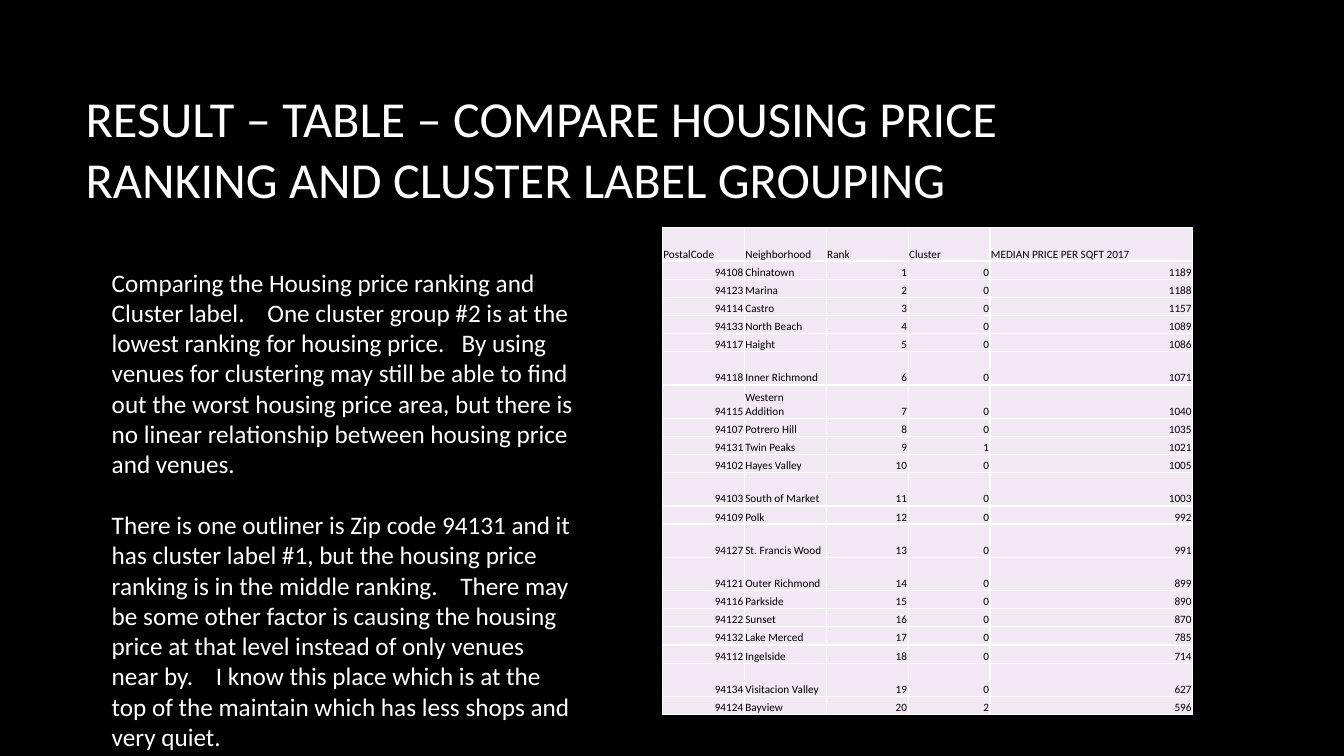
import pptx
import pptx.util
import pptx.dml.color
import pptx.enum.text
import pptx.oxml.ns
from lxml import etree

Inches = pptx.util.Inches
Pt = pptx.util.Pt
ANCHOR = pptx.enum.text.MSO_ANCHOR
ALIGN = pptx.enum.text.PP_ALIGN

COLORS = {"background": "000000", "light": "FFFFFF", "ink": "000000", "cell": "F1E8F4"}
FONT = "Calibri"

TITLE = "RESULT – TABLE – COMPARE HOUSING PRICE RANKING AND CLUSTER LABEL GROUPING"
COMMENTS = [
    "Comparing the Housing price ranking and Cluster label.    One cluster group #2 is at the "
    "lowest ranking for housing price.   By using venues for clustering may still be able to "
    "find out the worst housing price area, but there is no linear relationship between "
    "housing price and venues.",
    "There is one outliner is Zip code 94131 and it has cluster label #1, but the housing price "
    "ranking is in the middle ranking.    There may be some other factor is causing the housing "
    "price at that level instead of only venues near by.    I know this place which is at the "
    "top of the maintain which has less shops and very quiet.",
]

HEADERS = ["PostalCode", "Neighborhood", "Rank", "Cluster", "MEDIAN PRICE PER SQFT 2017"]
# Postal code, neighborhood, cluster, median price; listed in rank order
HOUSING = [
    (94108, "Chinatown", 0, 1189),
    (94123, "Marina", 0, 1188),
    (94114, "Castro", 0, 1157),
    (94133, "North Beach", 0, 1089),
    (94117, "Haight", 0, 1086),
    (94118, "Inner Richmond", 0, 1071),
    (94115, "Western Addition", 0, 1040),
    (94107, "Potrero Hill", 0, 1035),
    (94131, "Twin Peaks", 1, 1021),
    (94102, "Hayes Valley", 0, 1005),
    (94103, "South of Market", 0, 1003),
    (94109, "Polk", 0, 992),
    (94127, "St. Francis Wood", 0, 991),
    (94121, "Outer Richmond", 0, 899),
    (94116, "Parkside", 0, 890),
    (94122, "Sunset", 0, 870),
    (94132, "Lake Merced", 0, 785),
    (94112, "Ingelside", 0, 714),
    (94134, "Visitacion Valley", 0, 627),
    (94124, "Bayview", 2, 596),
]
TABLE_WIDTH, PRICE_WIDTH = 5.26, 2.01
ROW_HEIGHT, TALL_ROW_HEIGHT = 0.18, 0.33
LONG_NAME = 14  # neighborhood names of this length get a tall row


def rgb(name):
    return pptx.dml.color.RGBColor.from_string(COLORS[name])


def format_paragraph(p, size, color):
    for r in p.runs:
        r.font.name = FONT
        r.font.size = Pt(size)
        r.font.color.rgb = rgb(color)


def add_text(slide, box, paragraphs, size, anchor=ANCHOR.TOP, gap=0):
    tf = slide.shapes.add_textbox(*map(Inches, box)).text_frame
    tf.word_wrap = True
    tf.vertical_anchor = anchor
    for i, text in enumerate(paragraphs):
        p = tf.add_paragraph() if i else tf.paragraphs[0]
        p.text = text
        p.space_before = Pt(gap if i else 0)
        format_paragraph(p, size, "light")


def set_borders(cell, color, width):
    tc_pr = cell._tc.get_or_add_tcPr()
    qn = pptx.oxml.ns.qn
    for i, side in enumerate(("a:lnL", "a:lnR", "a:lnT", "a:lnB")):
        ln = etree.Element(qn(side), w=str(Pt(width)))
        fill = etree.SubElement(ln, qn("a:solidFill"))
        etree.SubElement(fill, qn("a:srgbClr"), val=COLORS[color])
        tc_pr.insert(i, ln)


def fill_cell(cell, value):
    cell.fill.solid()
    cell.fill.fore_color.rgb = rgb("cell")
    cell.margin_left = cell.margin_right = cell.margin_top = Inches(0.01)
    cell.margin_bottom = 0
    cell.vertical_anchor = ANCHOR.BOTTOM
    p = cell.text_frame.paragraphs[0]
    p.text = str(value)
    p.alignment = ALIGN.RIGHT if isinstance(value, int) else ALIGN.LEFT
    format_paragraph(p, 8, "ink")
    set_borders(cell, "light", 1)


def add_housing_table(slide, left, top):
    rows = [HEADERS] + [
        (code, name, rank, cluster, price)
        for rank, (code, name, cluster, price) in enumerate(HOUSING, 1)
    ]
    heights = [
        TALL_ROW_HEIGHT if i == 0 or len(row[1]) >= LONG_NAME else ROW_HEIGHT
        for i, row in enumerate(rows)
    ]
    table = slide.shapes.add_table(
        len(rows), len(HEADERS), Inches(left), Inches(top),
        Inches(TABLE_WIDTH), Inches(sum(heights)),
    ).table
    table.first_row = table.horz_banding = False

    # The price column is wide; the others share the rest equally
    narrow = (TABLE_WIDTH - PRICE_WIDTH) / (len(HEADERS) - 1)
    for i, column in enumerate(table.columns):
        column.width = Inches(PRICE_WIDTH if i == len(HEADERS) - 1 else narrow)
    for i, (row, height) in enumerate(zip(rows, heights)):
        table.rows[i].height = Inches(height)
        for j, value in enumerate(row):
            fill_cell(table.cell(i, j), value)


def main():
    prs = pptx.Presentation()
    prs.slide_width, prs.slide_height = Inches(13.33), Inches(7.5)
    s = prs.slides.add_slide(prs.slide_layouts[6])
    s.background.fill.solid()
    s.background.fill.fore_color.rgb = rgb("background")

    # Title
    add_text(s, (0.75, 0.67, 11.08, 1.59), [TITLE], 36, ANCHOR.MIDDLE)
    # Ranking table
    add_housing_table(s, 6.57, 2.26)
    # Comments, one line apart
    add_text(s, (1.01, 2.6, 4.78, 4.95), COMMENTS, 18, gap=22)

    prs.save("out.pptx")


if __name__ == "__main__":
    main()
